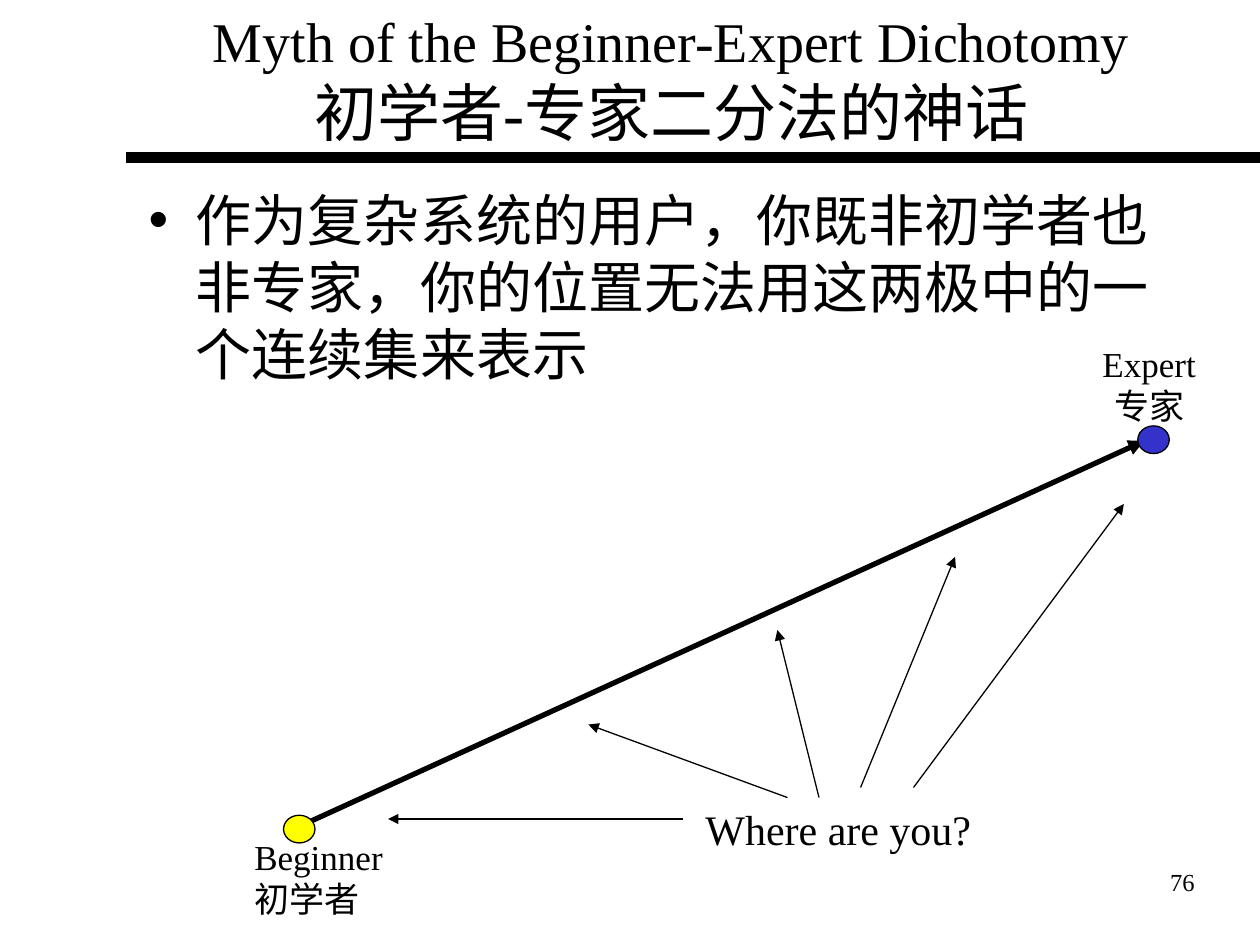
from lxml import etree
from pptx import Presentation, util as u
from pptx.dml.color import RGBColor
from pptx.enum import shapes, text
from pptx.oxml import ns

BLACK = RGBColor(0, 0, 0)
YELLOW = RGBColor(0xFF, 0xFF, 0)
BLUE = RGBColor(0x33, 0x33, 0xCC)
FONT = "Times New Roman"


def set_all(item, values):
    """Set every attribute named in values on item."""
    for name, value in values.items():
        setattr(item, name, value)


def place(box, left, top, width, height):
    """Move and size a box, given in inches."""
    names = ("left", "top", "width", "height")
    set_all(box, dict(zip(names, map(u.Inches, (left, top, width, height)))))


def write(box, lines, align=text.PP_ALIGN.LEFT, anchor=text.MSO_ANCHOR.TOP):
    """Write (wording, size) lines into one paragraph with line breaks."""
    frame = box.text_frame
    set_all(frame, {"word_wrap": True, "auto_size": text.MSO_AUTO_SIZE.NONE,
                    "vertical_anchor": anchor})
    para = frame.paragraphs[0]
    set_all(para, {"alignment": align, "space_before": u.Pt(0)})
    for index, (wording, size) in enumerate(lines):
        if index:
            para.add_line_break()
            gap = para._p.findall(ns.qn("a:br"))[-1]
            etree.SubElement(gap, ns.qn("a:rPr"), sz=str(lines[index - 1][1] * 100))
        span = para.add_run()
        span.text = wording
        set_all(span.font, {"name": FONT, "size": u.Pt(size)})
        span.font.color.rgb = BLACK


def add_label(page, area, lines, align=text.PP_ALIGN.LEFT):
    """Add a text box with one label."""
    box = page.shapes.add_textbox(*map(u.Inches, area))
    write(box, lines, align)


def add_line(page, start, end, weight=0.75, arrow=True):
    """Add a straight black line, with an arrowhead at its end if wanted."""
    line = page.shapes.add_connector(
        shapes.MSO_CONNECTOR.STRAIGHT, *map(u.Inches, start + end))
    line.line.color.rgb = BLACK
    line.line.width = u.Pt(weight)
    if arrow:
        outline = line.line._get_or_add_ln()
        etree.SubElement(outline, ns.qn("a:tailEnd"), type="triangle")
    etree.SubElement(line._element.spPr, ns.qn("a:effectLst"))


def add_dot(page, left, top, color):
    """Add an outlined dot marking one end of the scale."""
    area = map(u.Inches, (left, top, 0.25, 0.22))
    dot = page.shapes.add_shape(shapes.MSO_SHAPE.OVAL, *area)
    dot.shadow.inherit = False
    dot.fill.solid()
    dot.fill.fore_color.rgb = color
    dot.line.color.rgb = BLACK
    dot.line.width = u.Pt(0.75)


def main():
    """Build the slide and save it."""
    deck = Presentation()
    set_all(deck, {"slide_width": u.Inches(10), "slide_height": u.Inches(7.5)})
    page = deck.slides.add_slide(deck.slide_layouts[1])

    title, body = page.shapes.title, page.placeholders[1]
    place(title, 1.08, 0.08, 8.5, 1.08)
    write(title, [("Myth of the Beginner-Expert Dichotomy", 32),
                  ("初学者-专家二分法的神话", 36)],
          text.PP_ALIGN.CENTER, text.MSO_ANCHOR.MIDDLE)
    place(body, 1.08, 1.42, 8.5, 5.92)
    write(body, [("作为复杂系统的用户，你既非初学者也非专家，"
                  "你的位置无法用这两极中的一个连续集来表示", 32)])
    add_line(page, (1, 1.25), (10, 1.25), 6, arrow=False)

    add_line(page, (2.33, 6.58), (9.08, 3.5), 3)
    add_dot(page, 2.25, 6.47, YELLOW)
    add_dot(page, 9.03, 3.38, BLUE)
    add_label(page, (1.92, 6.58, 1.5, 0.77), [("Beginner", 20), ("初学者", 20)])
    add_label(page, (8.58, 2.67, 1.08, 0.77), [("Expert专家", 20)],
              text.PP_ALIGN.CENTER)

    add_label(page, (5.5, 6.33, 2.58, 0.5), [("Where are you?", 24)])
    pointers = [((5.42, 6.5), (3.08, 6.5)), ((6.25, 6.33), (4.67, 5.75)),
                ((6.5, 6.33), (6.17, 5)), ((6.83, 6.25), (7.58, 4.42)),
                ((7.25, 6.25), (8.92, 4))]
    for start, end in pointers:
        add_line(page, start, end)
    add_label(page, (7.5, 6.83, 2.08, 0.5), [("76", 14)], text.PP_ALIGN.RIGHT)
    deck.save("out.pptx")


if __name__ == "__main__":
    main()
